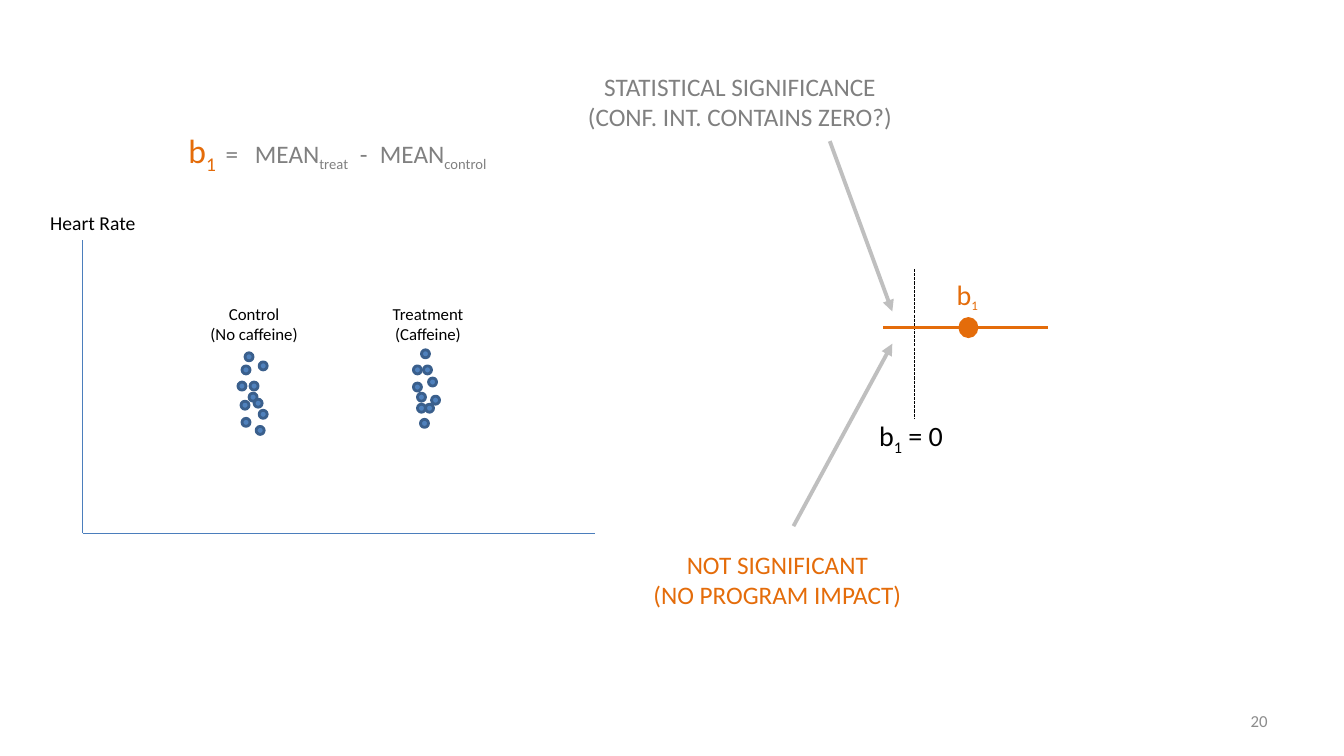
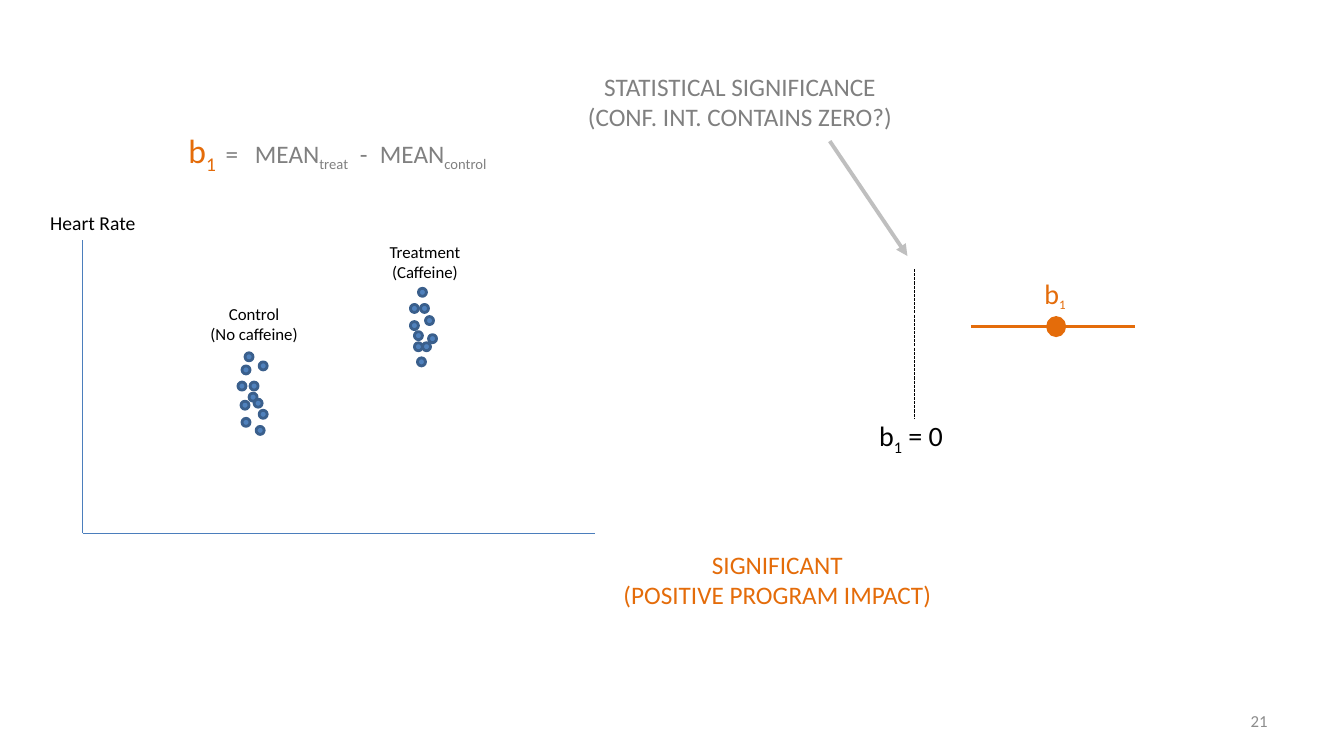
from lxml import etree
from pptx import Presentation
from pptx.dml.color import RGBColor
from pptx.enum.dml import MSO_LINE
from pptx.enum.shapes import MSO_CONNECTOR, MSO_SHAPE
from pptx.enum.text import MSO_ANCHOR, PP_ALIGN
from pptx.oxml.ns import qn
from pptx.util import Emu, Pt

PX = 9144  # EMU in one px, 100 px to the inch
FONT = "Calibri"

ORANGE, BLACK, GREY = "E46C0A", "000000", "808080"
ARROW_GREY, NUMBER_GREY = "BFBFBF", "8C8C8C"
AXIS_BLUE, DOT_FILL, DOT_LINE = "4B7EBC", "4F81BD", "3A5F8C"
SUBSCRIPT = "-25000"

# Text styles: size and colour
AXIS_LABEL, GROUP_LABEL = (14, BLACK), (12, BLACK)
QUESTION, VERDICT, PAGE_NUMBER = (18, GREY), (18, ORANGE), (12, NUMBER_GREY)
ZERO_LABEL, ESTIMATE_LABEL = (20, BLACK), (20, ORANGE)

FORMULA = [
    ("b", 24, ORANGE), ("1", 24, ORANGE, SUBSCRIPT),
    ("\t=\tMEAN", 18, GREY), ("treat", 18, GREY, SUBSCRIPT),
    ("\t-\tMEAN", 18, GREY), ("control", 18, GREY, SUBSCRIPT),
]
FORMULA_TABS = [37, 66, 170, 190]
ZERO = [("b", *ZERO_LABEL), ("1", *ZERO_LABEL, SUBSCRIPT), (" = 0", *ZERO_LABEL)]
ESTIMATE = [("b", *ESTIMATE_LABEL), ("1", 16, ORANGE, SUBSCRIPT)]

ORIGIN, AXIS_TOP, AXIS_RIGHT = (82, 529), (82, 238), (590, 529)
DOT_SIZE = 8
CONTROL = {
    "lines": ["Control", "(No caffeine)"],
    "label": (198, 296, 108, 50),
    "dots": [(236, 379), (248, 379), (247, 390), (239, 398), (257, 407), (240, 415),
             (254, 423), (257, 359), (243, 350), (240, 363), (252, 396)],
}
TREATMENT = {
    "lines": ["Treatment", "(Caffeine)"],
    "label": (379, 296, 91, 50),
    "dots": [(410, 380), (410, 363), (425, 375), (428, 393), (414, 401), (422, 401),
             (417, 416), (418, 347), (420, 363), (414, 390)],
}
QUESTION_LINES = ["STATISTICAL SIGNIFICANCE", "(CONF. INT. CONTAINS ZERO?)"]
QUESTION_ARROW_START = (823, 140)

SLIDES = [
    {
        "number": "20",
        "treatment_shift": (0, 0),
        "estimate_shift": (0, 0),
        "verdict": ["NOT SIGNIFICANT", "(NO PROGRAM IMPACT)"],
        "arrows": [((787, 522), (885, 341)), (QUESTION_ARROW_START, (885, 309))],
    },
    {
        "number": "21",
        "treatment_shift": (-3, -61),
        "estimate_shift": (87, -1),
        "verdict": ["SIGNIFICANT", "(POSITIVE PROGRAM IMPACT)"],
        "arrows": [(QUESTION_ARROW_START, (900, 254))],
    },
]


def color(value):
    return RGBColor.from_string(value)


def px(*lengths):
    return [Emu(length * PX) for length in lengths]


def moved(position, shift):
    """Shift the left and top of a point or box, keeping any size."""
    return (position[0] + shift[0], position[1] + shift[1], *position[2:])


def styled(lines, style):
    """Turn plain lines into paragraphs of one run each."""
    return [[(line, *style)] for line in lines]


def add_run(paragraph, text, size, hex_color, baseline=None):
    run = paragraph.add_run()
    run.text = text
    for name, value in {"name": FONT, "size": Pt(size)}.items():
        setattr(run.font, name, value)
    run.font.color.rgb = color(hex_color)
    if baseline:
        run._r.get_or_add_rPr().set("baseline", baseline)


def add_text(slide, box, paragraphs, align=PP_ALIGN.LEFT, wrap=False, **frame_format):
    frame = slide.shapes.add_textbox(*px(*box)).text_frame
    for name, value in {"word_wrap": wrap, **frame_format}.items():
        setattr(frame, name, value)
    for index, runs in enumerate(paragraphs):
        paragraph = frame.add_paragraph() if index else frame.paragraphs[0]
        paragraph.alignment = align
        for run in runs:
            add_run(paragraph, *run)
    return frame


def add_line(slide, start, end, hex_color, width, dash=None, arrow=False):
    connector = slide.shapes.add_connector(MSO_CONNECTOR.STRAIGHT, *px(*start, *end))
    line = connector.line
    line.color.rgb = color(hex_color)
    line.width = Pt(width)
    if dash:
        line.dash_style = dash
    properties = connector._element.spPr
    if arrow:
        etree.SubElement(properties.find(qn("a:ln")), qn("a:tailEnd"), type="triangle")
    etree.SubElement(properties, qn("a:effectLst"))


def add_dot(slide, box, fill, outline):
    dot = slide.shapes.add_shape(MSO_SHAPE.OVAL, *px(*box))
    dot.shadow.inherit = False
    dot.fill.solid()
    dot.fill.fore_color.rgb = color(fill)
    dot.line.color.rgb = color(outline)
    dot.line.width = Pt(2)


def add_formula(slide):
    frame = add_text(slide, (177, 124, 331, 50), [FORMULA], wrap=True)
    properties = frame.paragraphs[0]._p.get_or_add_pPr()
    tab_list = etree.SubElement(properties, qn("a:tabLst"))
    for position in FORMULA_TABS:
        etree.SubElement(tab_list, qn("a:tab"), pos=str(position * PX), algn="l")


def add_group(slide, group, shift=(0, 0)):
    """Draw one cloud of observations with its label."""
    for dot in group["dots"]:
        add_dot(slide, (*moved(dot, shift), DOT_SIZE, DOT_SIZE), DOT_FILL, DOT_LINE)
    add_text(slide, moved(group["label"], shift), styled(group["lines"], GROUP_LABEL),
             PP_ALIGN.CENTER)


def add_scatter(slide, treatment_shift):
    for end in (AXIS_RIGHT, AXIS_TOP):
        add_line(slide, ORIGIN, end, AXIS_BLUE, 0.75)
    add_text(slide, (40, 204, 106, 34), styled(["Heart Rate"], AXIS_LABEL))
    add_group(slide, CONTROL)
    add_group(slide, TREATMENT, treatment_shift)


def add_interval(slide, shift):
    """Draw the zero line and the estimate with its confidence interval."""
    add_line(slide, (907, 267), (907, 416), BLACK, 0.75, dash=MSO_LINE.SQUARE_DOT)
    add_text(slide, (862, 410, 85, 44), [ZERO])
    add_line(slide, moved((876, 325), shift), moved((1039, 325), shift), ORANGE, 2)
    add_text(slide, moved((939, 270, 42, 44), shift), [ESTIMATE])
    add_dot(slide, moved((952, 316, 17, 18), shift), ORANGE, ORANGE)


def add_slide(presentation, content):
    slide = presentation.slides.add_slide(presentation.slide_layouts[6])
    add_text(slide, (956, 695, 311, 40), styled([content["number"]], PAGE_NUMBER),
             PP_ALIGN.RIGHT, wrap=True, vertical_anchor=MSO_ANCHOR.MIDDLE)
    add_scatter(slide, content["treatment_shift"])
    add_interval(slide, content["estimate_shift"])
    add_text(slide, (607, 540, 328, 71), styled(content["verdict"], VERDICT),
             PP_ALIGN.CENTER)
    add_text(slide, (561, 66, 346, 71), styled(QUESTION_LINES, QUESTION),
             PP_ALIGN.CENTER, wrap=True)
    for start, end in content["arrows"]:
        add_line(slide, start, end, ARROW_GREY, 2.75, arrow=True)
    add_formula(slide)


def main():
    presentation = Presentation()
    presentation.slide_width, presentation.slide_height = px(1333, 750)
    for content in SLIDES:
        add_slide(presentation, content)
    presentation.save("out.pptx")


if __name__ == "__main__":
    main()
